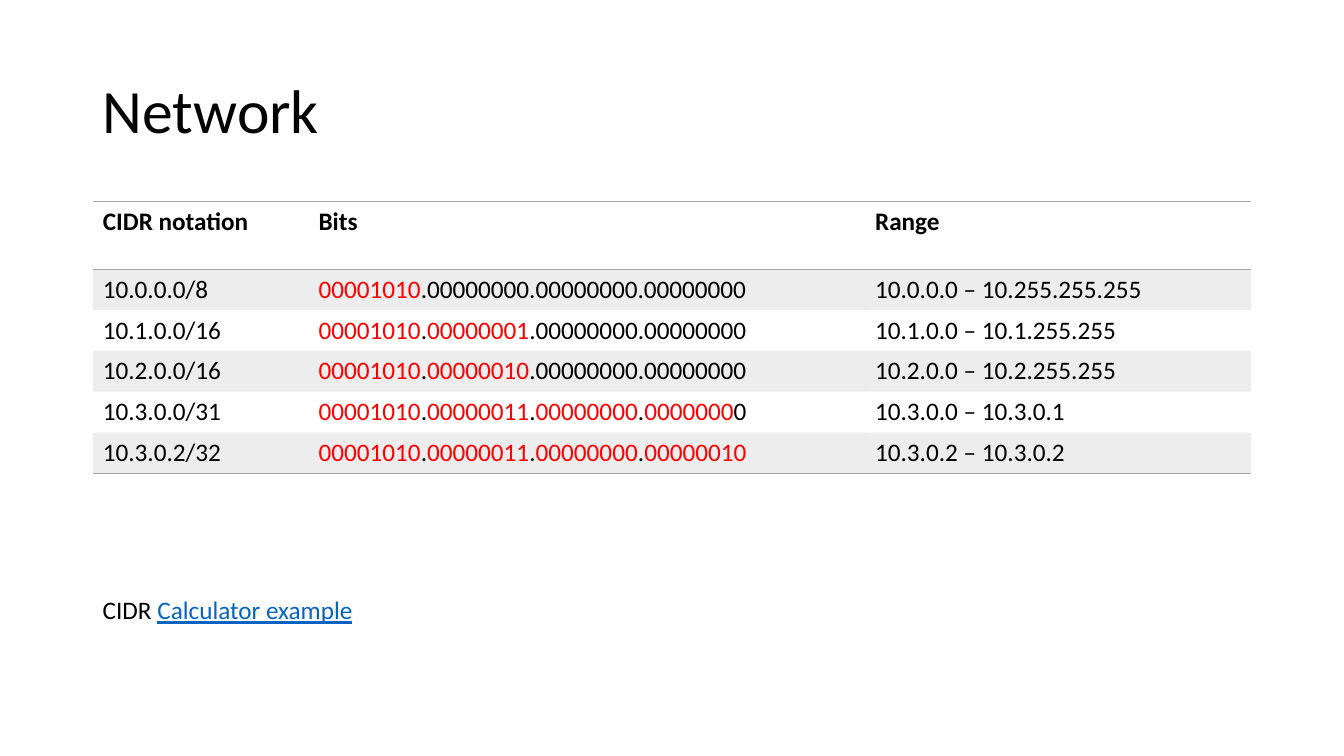
from dataclasses import dataclass
from itertools import groupby

from lxml.etree import SubElement
from pptx import Presentation
from pptx.dml.color import RGBColor
from pptx.enum.text import MSO_ANCHOR, PP_ALIGN
from pptx.oxml import parse_xml
from pptx.oxml.ns import nsdecls, qn
from pptx.util import Inches, Pt


@dataclass(frozen=True)
class Theme:
    font: str = "Calibri"
    ink: str = "000000"
    mark: str = "FF0000"
    gray: str = "A5A5A5"
    link: str = "0563C1"
    title: int = 44
    body: int = 18
    tint: int = 20  # band opacity in percent


THEME = Theme()
LEFT, WIDTH = Inches(0.92), Inches(11.5)
NO_GRID = "{2D5ABB26-0587-4C30-8999-92F81FD0307C}"
HEADS = ("CIDR notation", "Bits", "Range")
COLS = (2.14, 5.52, 3.83)
NETS = (
    ("10.0.0.0/8", "10.0.0.0 – 10.255.255.255"),
    ("10.1.0.0/16", "10.1.0.0 – 10.1.255.255"),
    ("10.2.0.0/16", "10.2.0.0 – 10.2.255.255"),
    ("10.3.0.0/31", "10.3.0.0 – 10.3.0.1"),
    ("10.3.0.2/32", "10.3.0.2 – 10.3.0.2"),
)


def style(para, size=THEME.body, bold=False):
    font = para.font
    font.name, font.size, font.bold = THEME.font, Pt(size), bold
    font.color.rgb = RGBColor.from_string(THEME.ink)


def add_run(para, text, color):
    run = para.add_run()
    run.text = text
    run.font.color.rgb = RGBColor.from_string(color)
    return run


def bit_parts(cidr):
    """Split the binary address into (text, color) parts; prefix bits are marked."""
    host, size = cidr.split("/")
    bits = ".".join(f"{int(part):08b}" for part in host.split("."))
    end = int(size) + (int(size) - 1) // 8  # prefix length with its dots

    def color(pair):
        pos, char = pair
        return THEME.mark if pos < end and char != "." else THEME.ink

    for shade, group in groupby(enumerate(bits), color):
        yield "".join(char for _, char in group), shade


def add_line(cell, side):
    line = parse_xml(
        f'<a:{side} {nsdecls("a")} w="12700"><a:solidFill>'
        f'<a:srgbClr val="{THEME.gray}"/></a:solidFill></a:{side}>'
    )
    cell._tc.get_or_add_tcPr().insert(0, line)


def fill_cell(cell, band):
    if not band:
        cell.fill.background()
        return
    cell.fill.solid()
    cell.fill.fore_color.rgb = RGBColor.from_string(THEME.gray)
    tone = cell._tc.tcPr.find(".//" + qn("a:srgbClr"))
    SubElement(tone, qn("a:alpha")).set("val", str(THEME.tint * 1000))


def add_title(slide, text):
    title = slide.shapes.title
    title.left, title.top, title.width, title.height = (
        LEFT, Inches(0.4), WIDTH, Inches(1.45))
    frame = title.text_frame
    frame.text = text
    frame.vertical_anchor = MSO_ANCHOR.MIDDLE
    para = frame.paragraphs[0]
    para.alignment, para.line_spacing = PP_ALIGN.LEFT, 0.9
    style(para, THEME.title)


def add_nets(slide):
    table = slide.shapes.add_table(
        len(NETS) + 1, len(HEADS), LEFT, Inches(2), WIDTH, Inches(2.67)).table
    table.horz_banding = False
    table._tbl.tblPr.find(qn("a:tableStyleId")).text = NO_GRID
    for col, width in zip(table.columns, COLS):
        col.width = Inches(width)

    rows = [HEADS] + [(cidr, "", span) for cidr, span in NETS]
    for r, texts in enumerate(rows):
        table.rows[r].height = Inches(0.4 if r else 0.67)
        for c, text in enumerate(texts):
            cell = table.cell(r, c)
            fill_cell(cell, r % 2 == 1)
            para = cell.text_frame.paragraphs[0]
            # Bits follow from the notation
            parts = bit_parts(texts[0]) if r and c == 1 else [(text, THEME.ink)]
            for part, color in parts:
                add_run(para, part, color)
            style(para, bold=r == 0)
            # Rules around the header and under the last row
            if r in (0, len(NETS)):
                add_line(cell, "lnB")
            if r == 0:
                add_line(cell, "lnT")


def add_note(slide):
    box = slide.shapes.add_textbox(LEFT, Inches(5.85), Inches(3.12), Inches(0.4))
    box.text_frame.word_wrap = True
    para = box.text_frame.paragraphs[0]
    style(para)
    add_run(para, "CIDR ", THEME.ink)
    add_run(para, "Calculator example", THEME.link).font.underline = True


def main():
    deck = Presentation()
    deck.slide_width, deck.slide_height = Inches(13.33), Inches(7.5)
    slide = deck.slides.add_slide(deck.slide_layouts[5])
    add_title(slide, "Network")
    add_nets(slide)
    add_note(slide)
    deck.save("out.pptx")


if __name__ == "__main__":
    main()
